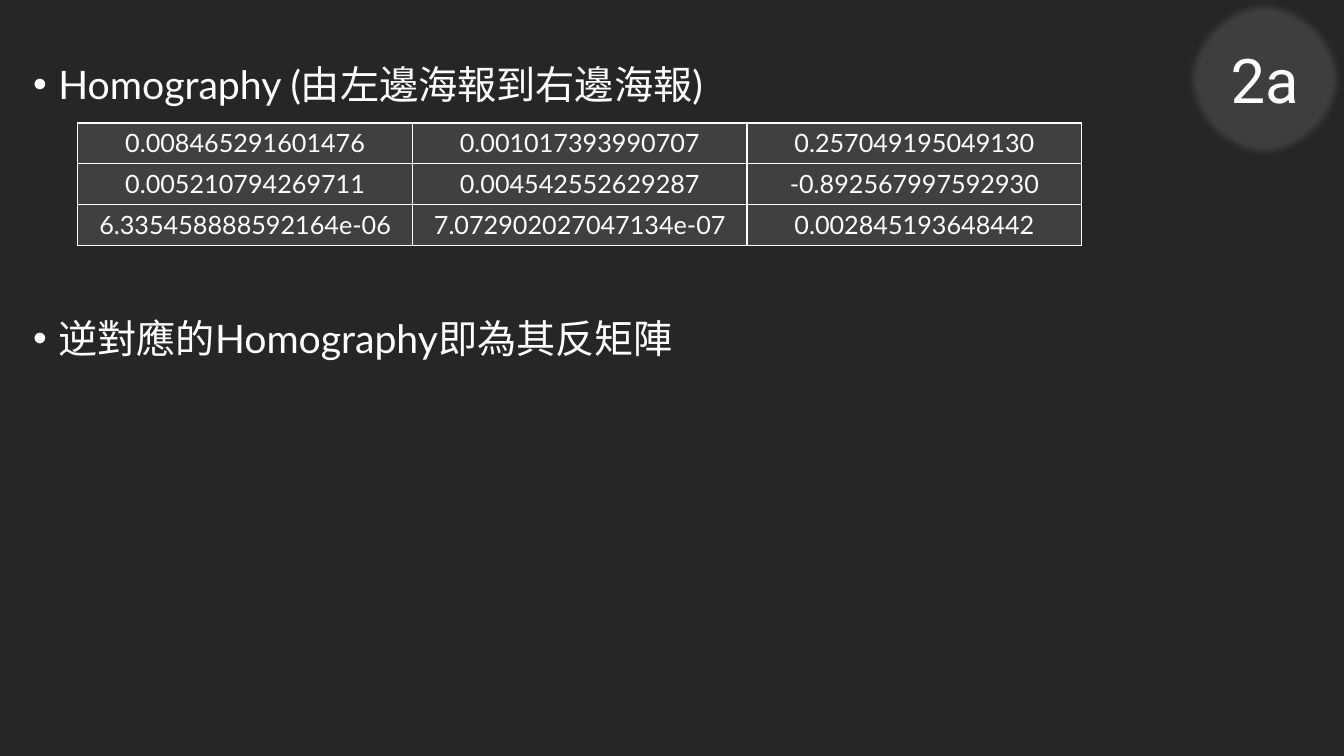
from lxml import etree
from pptx import Presentation, util as u
from pptx.dml.color import RGBColor
from pptx.enum import shapes, text
from pptx.oxml import ns

COLORS = {"background": "262626", "panel": "404040", "ink": "FFFFFF"}

HOMOGRAPHY = [
    ["0.008465291601476", "0.001017393990707", "0.257049195049130"],
    ["0.005210794269711", "0.004542552629287", "-0.892567997592930"],
    ["6.335458888592164e-06", "7.072902027047134e-07", "0.002845193648442"],
]


def color(name):
    return RGBColor.from_string(COLORS[name])


def paint(fill, name):
    fill.solid()
    fill.fore_color.rgb = color(name)


def add_child(parent, tag, **attributes):
    return etree.SubElement(parent, ns.qn(tag), **attributes)


def write(para, words, size=18, font="Lato", align=text.PP_ALIGN.CENTER):
    para.alignment = align
    span = para.add_run()
    span.text = words
    span.font.size = u.Pt(size)
    span.font.name = font
    span.font.color.rgb = color("ink")


class SlideBuilder:
    def __init__(self, deck):
        self.page = deck.slides.add_slide(deck.slide_layouts[1])
        paint(self.page.background.fill, "background")
        title = self.page.shapes.title
        title.element.getparent().remove(title.element)

    def bullets(self, left, top, width, height, items):
        """Fill the body placeholder from (words, space before in points) pairs."""
        box = self.page.placeholders[1]
        box.left, box.top = u.Cm(left), u.Cm(top)
        box.width, box.height = u.Cm(width), u.Cm(height)
        frame = box.text_frame
        frame.auto_size = text.MSO_AUTO_SIZE.NONE
        frame.vertical_anchor = text.MSO_ANCHOR.TOP
        for index, (words, gap) in enumerate(items):
            para = frame.add_paragraph() if index else frame.paragraphs[0]
            write(para, words, size=28, align=text.PP_ALIGN.LEFT)
            para.line_spacing = 1.5
            para.space_before = u.Pt(gap)
            para.space_after = u.Pt(0)
            indent = u.Cm(0.64)
            layout = para._p.get_or_add_pPr()
            layout.set("marL", str(indent))
            layout.set("indent", str(-indent))
            add_child(layout, "a:buFont", typeface="Arial")
            add_child(layout, "a:buChar", char="•")

    def badge(self, left, top, size, words):
        """Add a soft-edged circle with a large label."""
        circle = self.page.shapes.add_shape(
            shapes.MSO_SHAPE.OVAL, u.Cm(left), u.Cm(top), u.Cm(size), u.Cm(size))
        circle.shadow.inherit = False
        paint(circle.fill, "panel")
        circle.line.fill.background()
        effects = circle.element.spPr.find(ns.qn("a:effectLst"))
        add_child(effects, "a:softEdge", rad=str(u.Pt(5)))
        frame = circle.text_frame
        frame.word_wrap = True
        frame.vertical_anchor = text.MSO_ANCHOR.MIDDLE
        write(frame.paragraphs[0], words, size=44, font="Roboto")

    def matrix(self, left, top, width, height, rows):
        table = self.page.shapes.add_table(
            len(rows), len(rows[0]),
            u.Cm(left), u.Cm(top), u.Cm(width), u.Cm(height)).table
        table.first_row = table.horz_banding = False
        for cells, values in zip(table.rows, rows):
            for cell, value in zip(cells.cells, values):
                write(cell.text_frame.paragraphs[0], value)
                self.borders(cell)
                paint(cell.fill, "panel")

    def borders(self, cell):
        properties = cell._tc.get_or_add_tcPr()
        for side in ("a:lnL", "a:lnR", "a:lnT", "a:lnB"):
            line = add_child(properties, side, w=str(u.Pt(1)))
            fill = add_child(line, "a:solidFill")
            add_child(fill, "a:srgbClr", val=COLORS["ink"])


def main():
    deck = Presentation()
    deck.slide_width, deck.slide_height = u.Cm(33.87), u.Cm(19.05)
    slide = SlideBuilder(deck)
    slide.bullets(0.58, 0.81, 32.84, 17.93, [
        ("Homography (由左邊海報到右邊海報)", 10),
        ("逆對應的Homography即為其反矩陣", 131),
    ])
    slide.badge(29.87, 0, 4, "2a")
    slide.matrix(1.96, 3.1, 25.3, 3.09, HOMOGRAPHY)
    deck.save("out.pptx")


if __name__ == "__main__":
    main()
